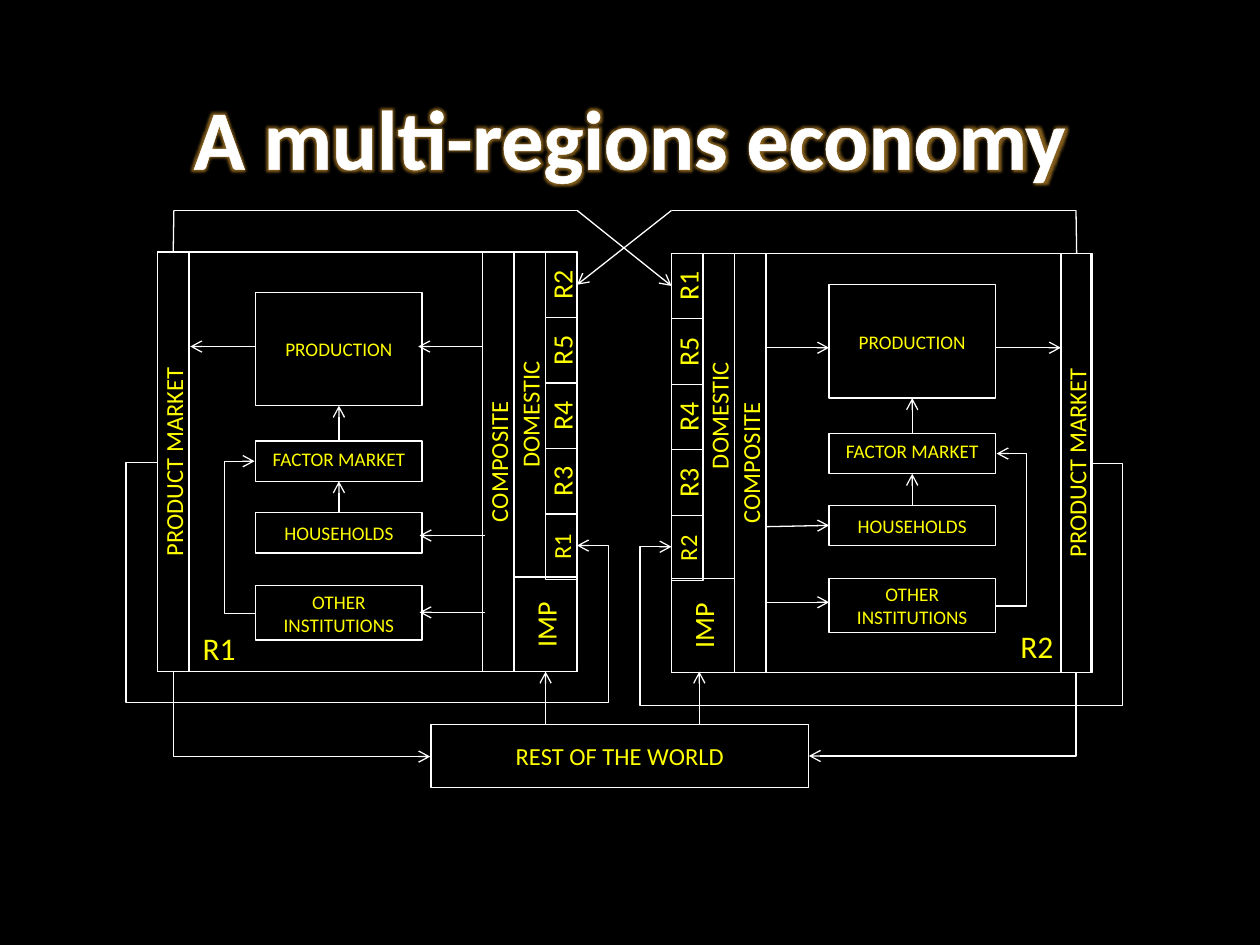
from dataclasses import dataclass
from math import hypot

from lxml.etree import SubElement as Sub
from pptx import Presentation
from pptx.dml.color import RGBColor as Rgb
from pptx.enum.shapes import MSO_CONNECTOR as Conn, MSO_SHAPE as Form
from pptx.enum.text import MSO_ANCHOR as Anchor, MSO_AUTO_SIZE as Auto, PP_ALIGN as Align
from pptx.oxml import parse_xml
from pptx.oxml.ns import nsdecls, qn
from pptx.util import Inches, Pt

HUES = {"back": "000000", "line": "FFFFFF", "title": "FFFFFF", "text": "FFFF00", "glow": "D99B30"}
BODY = {"word_wrap": True, "vertical_anchor": Anchor.MIDDLE}
TAG = {"word_wrap": False, "auto_size": Auto.SHAPE_TO_FIT_TEXT}
HEAD = {"word_wrap": True, "margin_top": Inches(0.1)}
ROW = 0.52


@dataclass
class Box:
    text: str
    x: float
    y: float
    w: float
    h: float
    size: int = 14
    turn: bool = False
    space: float | None = None


@dataclass
class Region:
    name: str
    top: float
    frame: float
    market: float
    comp: float
    home: float
    imports: float
    cells: float
    inner: float
    drop: float
    tag: tuple[float, float]
    names: tuple[str, ...]


@dataclass
class Line:
    x: float
    y: float
    to_x: float
    to_y: float
    arrow: bool = True


@dataclass
class Bend:
    line: Line
    area: tuple[float, float, float, float]
    kind: int
    turn: int = 0
    flip: str = ""
    bends: tuple[int, ...] = ()


REGIONS = [
    Region("R1", 2, 1.25, 1.25, 3.83, 4.08, 4.08, 4.33, 2.03, 2.32,
           (1.51, 4.94), ("R2", "R5", "R4", "R3", "R1")),
    Region("R2", 2.01, 5.33, 8.42, 5.83, 5.58, 5.33, 5.33, 6.58, 2.26,
           (8, 4.93), ("R1", "R5", "R4", "R3", "R2")),
]
LINES = [
    Line(2.03, 2.75, 1.51, 2.75), Line(3.83, 2.75, 3.32, 2.75),
    Line(3.85, 4.25, 3.33, 4.25), Line(3.85, 4.86, 3.33, 4.86),
    Line(7.9, 2.76, 8.42, 2.76), Line(6.08, 2.76, 6.58, 2.76),
    Line(6.08, 4.18, 6.58, 4.18), Line(6.08, 4.78, 6.58, 4.78),
    Line(1.38, 2, 1.38, 1.67, False), Line(1.38, 1.67, 4.58, 1.67, False),
    Line(4.58, 1.67, 5.33, 2.26),
    Line(8.54, 2.01, 8.54, 1.67, False), Line(8.54, 1.67, 5.33, 1.67, False),
    Line(5.33, 1.67, 4.58, 2.26),
    Line(4.33, 5.75, 4.33, 5.33), Line(5.55, 5.75, 5.55, 5.33),
]
BENDS = [
    Bend(Line(8.67, 3.68, 5.33, 4.34), (5.33, 3.68, 3.33, 0.66), 5, 0, "H", (-7500, 291100, 107500)),
    Bend(Line(1.25, 3.67, 4.58, 4.33), (1.25, 3.67, 3.33, 0.66), 5, 180, "HV", (-7500, 289000, 107500)),
    Bend(Line(1.38, 5.33, 3.42, 6), (2.06, 4.65, 0.67, 2.04), 2, 270, "H"),
    Bend(Line(8.54, 5.34, 6.42, 6), (7.15, 4.61, 0.66, 2.12), 2, 90),
    Bend(Line(2.03, 4.87, 2.03, 3.66), (2.02, 3.66, 0.01, 1.21), 3, 180, "", (2500000,)),
    Bend(Line(7.9, 4.81, 7.9, 3.6), (7.9, 3.6, 0.01, 1.21), 3, 0, "V", (2500000,)),
]


def style(item, values: dict) -> None:
    for key, value in values.items():
        setattr(item, key, value)


def write(shape, text: str, size: int, hue: str, frame: dict, para: dict, bold: bool = False):
    style(shape.text_frame, frame)
    first = shape.text_frame.paragraphs[0]
    style(first, para)
    run = first.add_run()
    run.text = text
    style(run.font, {"name": "Calibri", "size": Pt(size), "bold": bold})
    run.font.color.rgb = Rgb.from_string(HUES[hue])
    return run


def edge(shape) -> None:
    shape.line.color.rgb = Rgb.from_string(HUES["line"])
    shape.line.width = Pt(0.75)


def block(slide, box: Box):
    shape = slide.shapes.add_shape(Form.RECTANGLE, *map(Inches, (box.x, box.y, box.w, box.h)))
    shape.shadow.inherit = False
    shape.fill.background()
    edge(shape)
    if box.text:
        para = {"alignment": Align.CENTER, "line_spacing": box.space}
        write(shape, box.text, box.size, "text", BODY, para)
    if box.turn:
        shape.text_frame._txBody.bodyPr.set("vert", "vert270")
    return shape


def label(slide, text: str, x: float, y: float) -> None:
    shape = slide.shapes.add_textbox(*map(Inches, (x, y, 0.48, 0.4)))
    write(shape, text, 18, "text", TAG, {"alignment": Align.LEFT})


def title(slide) -> None:
    shape = slide.shapes.add_textbox(*map(Inches, (0.5, 0.58, 9, 1.25)))
    run = write(shape, "A multi-regions economy", 48, "title", HEAD, {"alignment": Align.CENTER}, True)
    props = run._r.get_or_add_rPr()
    props.insert(0, parse_xml(
        f'<a:ln {nsdecls("a")} w="9525"><a:solidFill><a:srgbClr val="{HUES["title"]}"/></a:solidFill></a:ln>'))
    props.insert(2, parse_xml(
        f'<a:effectLst {nsdecls("a")}><a:glow rad="63500"><a:srgbClr val="{HUES["glow"]}">'
        '<a:alpha val="60000"/></a:srgbClr></a:glow></a:effectLst>'))


def region(slide, data: Region) -> list:
    top, x, y = data.top, data.inner, data.drop
    boxes = [
        Box("", data.frame, top, 3.33, 3.33),
        Box("IMP", data.imports, top + 2.58, 0.5, 0.75, 16, True),
        Box("DOMESTIC", data.home, top, 0.25, 2.58, turn=True),
        Box("COMPOSITE", data.comp, top, 0.25, 3.33, turn=True),
        Box("PRODUCT MARKET", data.market, top, 0.25, 3.33, turn=True),
        Box("PRODUCTION", x, y, 1.32, 0.9, 11),
        Box("FACTOR MARKET", x, y + 1.18, 1.32, 0.32, 11, space=0.7),
        Box("HOUSEHOLDS", x, y + 1.75, 1.32, 0.32, 11),
        Box("OTHER INSTITUTIONS", x, y + 2.33, 1.32, 0.43, 11),
    ]
    for i, name in enumerate(data.names):
        size = 14 if name == data.name else 16
        boxes.append(Box(name, data.cells, top + i * ROW, 0.25, ROW, size, True))
    label(slide, data.name, *data.tag)
    return [block(slide, box) for box in boxes]


def join(hook, shapes: list, x: float, y: float) -> None:
    for shape in reversed(shapes):
        left, top, wide, high = shape.left, shape.top, shape.width, shape.height
        sides = [(left + wide / 2, top), (left, top + high / 2),
                 (left + wide / 2, top + high), (left + wide, top + high / 2)]
        for side, (a, b) in enumerate(sides):
            if hypot(a - Inches(x), b - Inches(y)) < Inches(0.02) * 0.75:
                hook(shape, side)
                return


def link(slide, shapes: list, line: Line, kind=Conn.STRAIGHT):
    wire = slide.shapes.add_connector(kind, *map(Inches, (line.x, line.y, line.to_x, line.to_y)))
    join(wire.begin_connect, shapes, line.x, line.y)
    join(wire.end_connect, shapes, line.to_x, line.to_y)
    edge(wire)
    props = wire._element.spPr
    if line.arrow:
        Sub(props.find(qn("a:ln")), qn("a:tailEnd"), type="arrow")
    Sub(props, qn("a:effectLst"))
    return wire


def elbow(slide, shapes: list, bend: Bend) -> None:
    wire = link(slide, shapes, bend.line, Conn.ELBOW)
    style(wire, dict(zip(("left", "top", "width", "height"), map(Inches, bend.area))))
    props = wire._element.spPr
    place = props.find(qn("a:xfrm"))
    place.set("rot", str(bend.turn * 60000))
    for axis in "HV":
        place.set("flip" + axis, str(int(axis in bend.flip)))
    geom = props.find(qn("a:prstGeom"))
    geom.set("prst", f"bentConnector{bend.kind}")
    for i, value in enumerate(bend.bends, 1):
        Sub(geom.find(qn("a:avLst")), qn("a:gd"), name=f"adj{i}", fmla=f"val {value}")


def main() -> None:
    deck = Presentation()
    style(deck, {"slide_width": Inches(10), "slide_height": Inches(7.5)})
    slide = deck.slides.add_slide(deck.slide_layouts[6])
    slide.background.fill.solid()
    slide.background.fill.fore_color.rgb = Rgb.from_string(HUES["back"])
    title(slide)
    shapes = [shape for data in REGIONS for shape in region(slide, data)]
    shapes.append(block(slide, Box("REST OF THE WORLD", 3.42, 5.75, 3, 0.5)))
    for data in REGIONS:
        mid = data.inner + 0.66
        for low, high in ((1.18, 0.9), (1.75, 1.5)):
            link(slide, shapes, Line(mid, data.drop + low, mid, data.drop + high))
    for line in LINES:
        link(slide, shapes, line)
    for bend in BENDS:
        elbow(slide, shapes, bend)
    deck.save("out.pptx")


if __name__ == "__main__":
    main()
